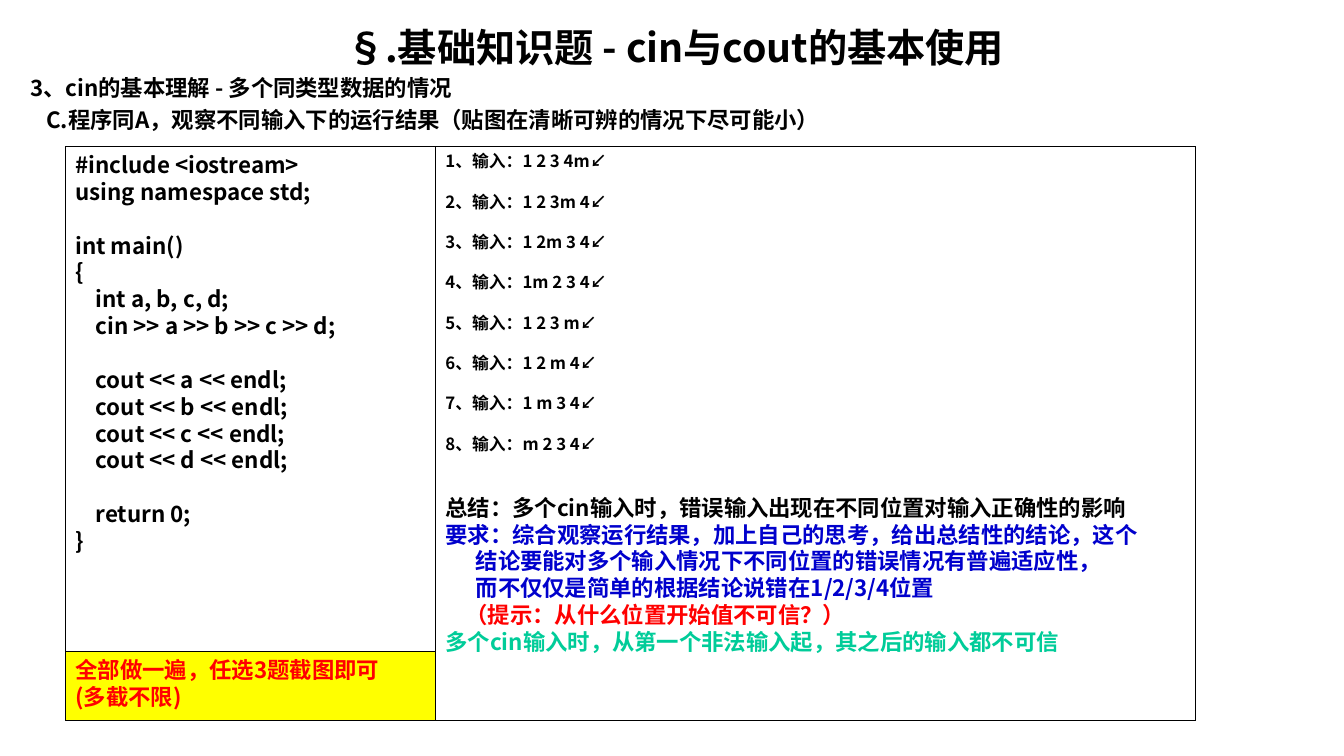
from lxml import etree
from pptx import Presentation
from pptx.dml.color import RGBColor
from pptx.enum.shapes import MSO_SHAPE
from pptx.enum.text import MSO_ANCHOR, PP_ALIGN
from pptx.oxml.ns import qn
from pptx.util import Inches, Pt

RECTANGLE = MSO_SHAPE.RECTANGLE
TOP = MSO_ANCHOR.TOP
LEFT, CENTER = PP_ALIGN.LEFT, PP_ALIGN.CENTER
FONT = "Noto Sans CJK SC"
BLACK, BLUE, RED, GREEN, YELLOW = "000000", "0000CC", "FF0000", "00CC99", "FFFF00"
LINE_HEIGHT = 1.2

CODE = """#include <iostream>
using namespace std;

int main()
{
    int a, b, c, d;
    cin >> a >> b >> c >> d;

    cout << a << endl;
    cout << b << endl;
    cout << c << endl;
    cout << d << endl;

    return 0;
}"""
INPUTS = ["1 2 3 4m", "1 2 3m 4", "1 2m 3 4", "1m 2 3 4",
          "1 2 3 m", "1 2 m 4", "1 m 3 4", "m 2 3 4"]
SUMMARY = [
    ("总结：多个cin输入时，错误输入出现在不同位置对输入正确性的影响", BLACK, 0),
    ("要求：综合观察运行结果，加上自己的思考，给出总结性的结论，这个", BLUE, 0),
    ("结论要能对多个输入情况下不同位置的错误情况有普遍适应性，", BLUE, 0.3),
    ("而不仅仅是简单的根据结论说错在1/2/3/4位置", BLUE, 0.3),
    ("（提示：从什么位置开始值不可信？）", RED, 0.2),
    ("多个cin输入时，从第一个非法输入起，其之后的输入都不可信", GREEN, 0),
]


def rgb(value):
    """Turn a hex string into a colour."""
    return RGBColor.from_string(value)


def add_line(frame, text, size=16, color=BLACK, before=0, indent=0, align=LEFT):
    """Write one bold line of text, in the first paragraph if it is still free."""
    first = frame.paragraphs[0]
    paragraph = frame.add_paragraph() if first.runs else first
    layout = {"alignment": align, "space_before": Pt(before),
              "space_after": Pt(0), "line_spacing": Pt(size * LINE_HEIGHT)}
    for name, value in layout.items():
        setattr(paragraph, name, value)
    if indent:
        paragraph._p.get_or_add_pPr().set("marL", str(Inches(indent)))
    run = paragraph.add_run()
    run.text = text
    run.font.color.rgb = rgb(color)
    for name, value in {"name": FONT, "size": Pt(size), "bold": True}.items():
        setattr(run.font, name, value)
    east_asian = etree.SubElement(run._r.get_or_add_rPr(), qn("a:ea"))
    east_asian.set("typeface", FONT)


def add_panel(slide, box, fill=None):
    """Draw a thin black frame and return its text frame."""
    panel = slide.shapes.add_shape(RECTANGLE, *map(Inches, box))
    panel.shadow.inherit = False
    if fill:
        panel.fill.solid()
        panel.fill.fore_color.rgb = rgb(fill)
    else:
        panel.fill.background()
    panel.line.color.rgb = rgb(BLACK)
    panel.line.width = Pt(0.75)
    frame = panel.text_frame
    frame.word_wrap = True
    frame.vertical_anchor = TOP
    return frame


def add_heading(slide, box):
    """Write the title and the two lines of the question."""
    frame = slide.shapes.add_textbox(*map(Inches, box)).text_frame
    frame.word_wrap = True
    add_line(frame, "§.基础知识题 - cin与cout的基本使用", size=28, align=CENTER)
    add_line(frame, "3、cin的基本理解 - 多个同类型数据的情况", before=3.2)
    add_line(frame, "C.程序同A，观察不同输入下的运行结果（贴图在清晰可辨的情况下尽可能小）",
             before=3.2, indent=0.16)


def add_code(slide, box):
    """Write the program, with a gap between its blocks."""
    frame = add_panel(slide, box)
    for number, block in enumerate(CODE.split("\n\n")):
        for row, code_line in enumerate(block.split("\n")):
            starts_block = number > 0 and row == 0
            add_line(frame, code_line, before=16 * LINE_HEIGHT if starts_block else 0)


def add_answers(slide, box):
    """List the inputs to try, then the summary."""
    frame = add_panel(slide, box)
    gap = 12 * LINE_HEIGHT
    for number, values in enumerate(INPUTS, 1):
        add_line(frame, f"{number}、输入：{values}↙", size=12,
                 before=gap if number > 1 else 0)
    for row, (text, color, indent) in enumerate(SUMMARY):
        add_line(frame, text, color=color, indent=indent,
                 before=0 if row else 2 * gap)


def add_instruction(slide, box):
    """Write the highlighted instruction."""
    frame = add_panel(slide, box, YELLOW)
    for text in ("全部做一遍，任选3题截图即可", "(多截不限)"):
        add_line(frame, text, color=RED)


def main():
    """Build the slide and save it."""
    deck = Presentation()
    deck.slide_width, deck.slide_height = Inches(13.33), Inches(7.5)
    slide = deck.slides.add_slide(deck.slide_layouts[6])
    left, top, width, height = 0.65, 1.45, 11.21, 5.7
    code_width, instruction_height = 3.67, 0.69
    add_panel(slide, (left, top, width, height))
    add_heading(slide, (0.2, 0.18, 12.99, 7.09))
    add_code(slide, (left, top, code_width, height))
    add_answers(slide, (left + code_width, top, width - code_width, height))
    add_instruction(slide, (left, top + height - instruction_height,
                            code_width, instruction_height))
    deck.save("out.pptx")


if __name__ == "__main__":
    main()
